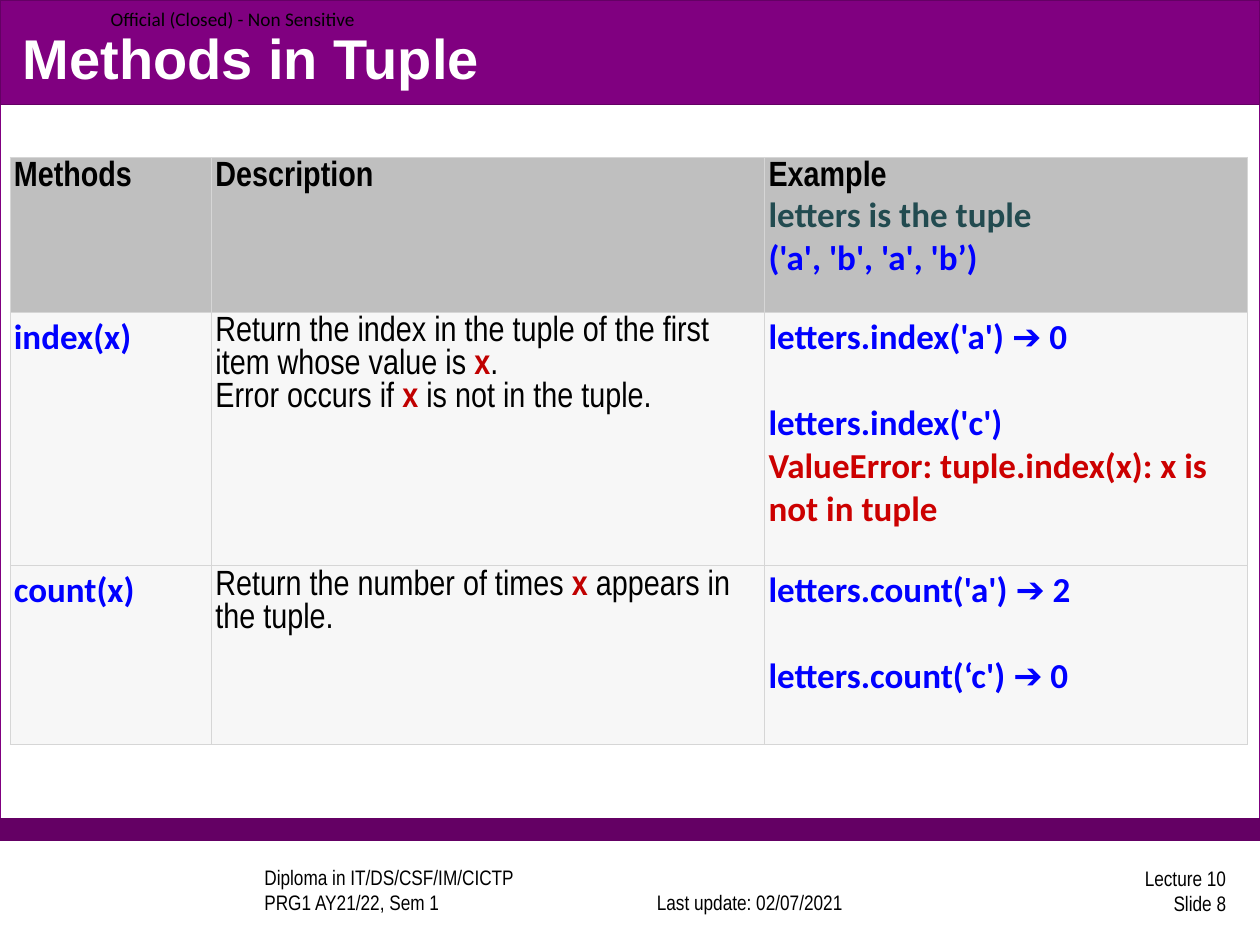
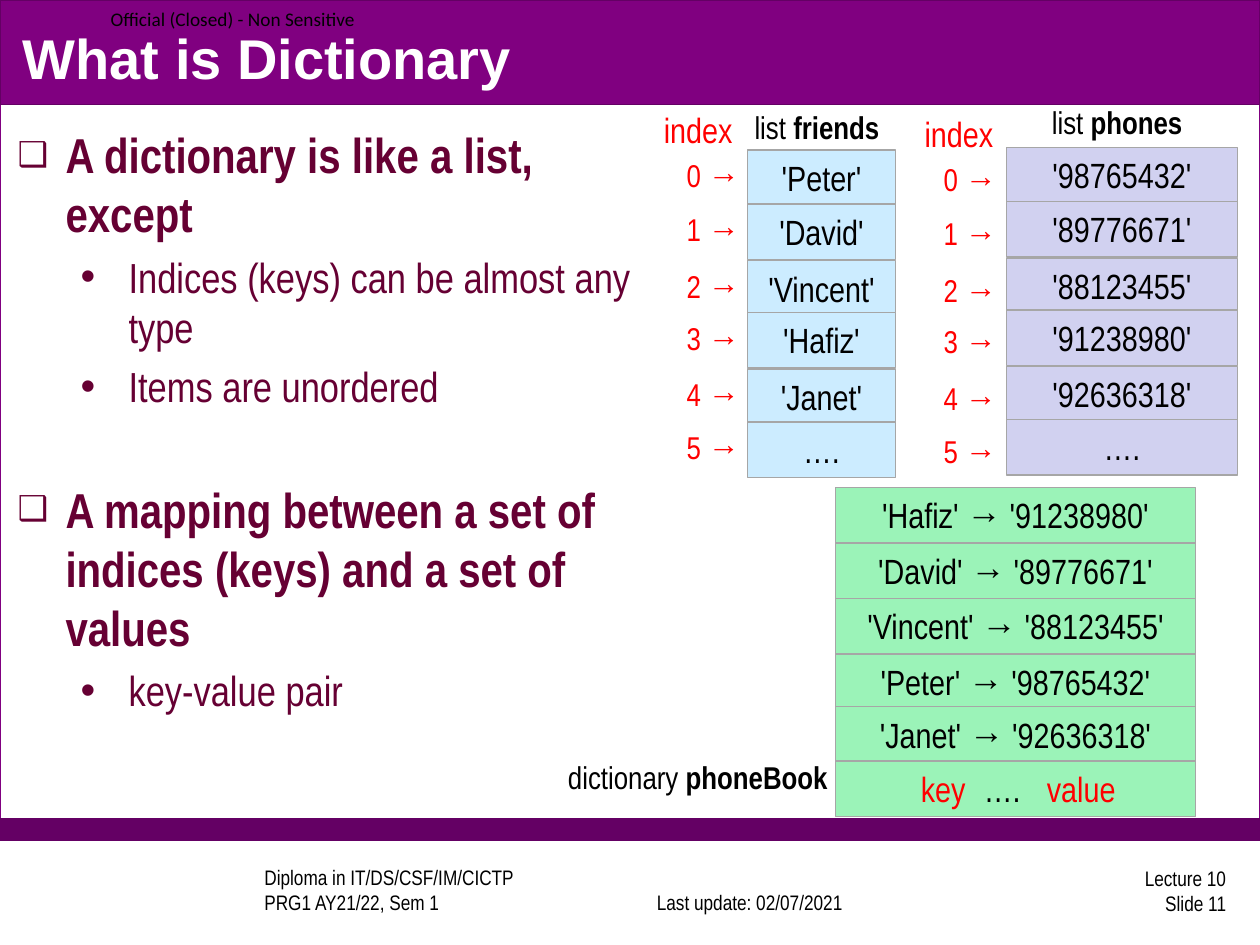
from dataclasses import dataclass

from pptx import Presentation
from pptx.dml.color import RGBColor
from pptx.enum.shapes import MSO_SHAPE
from pptx.enum.text import MSO_ANCHOR, MSO_AUTO_SIZE, PP_ALIGN
from pptx.oxml import parse_xml
from pptx.oxml.ns import nsdecls
from pptx.util import Pt

PX = 9144  # 100 px to the inch


@dataclass(frozen=True)
class Theme:
    white: str = "FFFFFF"
    black: str = "000000"
    purple: str = "800080"
    plum: str = "640064"
    wine: str = "660033"
    red: str = "FF0000"
    blue: str = "0000FF"
    teal: str = "224B50"
    crimson: str = "C00000"
    error: str = "CC0000"
    head: str = "BFBFBF"
    cell: str = "F7F7F7"
    rule: str = "D6D6D6"
    edge: str = "A6A6A6"
    sky: str = "CCECFF"
    lilac: str = "D1D1F0"
    mint: str = "9BF3B8"
    sans: str = "Arial"
    slim: str = "Arial Narrow"
    code: str = "Calibri"
    title: int = 32
    point: int = 28
    sub: int = 24
    text: int = 20
    label: int = 18
    foot: int = 12
    tag: int = 11


T = Theme()


def write(frame, lines, size=T.text, font=T.slim, color=T.black, bold=False,
          align=PP_ALIGN.LEFT, anchor=MSO_ANCHOR.TOP):
    """Each line is a list of runs; a run is text or (text, format)."""
    frame.word_wrap = True
    frame.auto_size = MSO_AUTO_SIZE.NONE
    frame.vertical_anchor = anchor
    for i, line in enumerate(lines):
        para = frame.paragraphs[0] if i == 0 else frame.add_paragraph()
        para.alignment = align
        for part in line:
            text, own = (part, {}) if isinstance(part, str) else part
            look = dict(size=size, font=font, color=color, bold=bold) | own
            run = para.add_run()
            run.text = text
            run.font.size = Pt(look["size"])
            run.font.name = look["font"]
            run.font.bold = look["bold"]
            run.font.color.rgb = RGBColor.from_string(look["color"])
    return frame


def place(slide, area, lines=(), fill=None, line=T.edge, **form):
    """Add a filled rectangle, or a text box when there is no fill."""
    spot = [n * PX for n in area]
    if fill:
        shape = slide.shapes.add_shape(MSO_SHAPE.RECTANGLE, *spot)
        shape.shadow.inherit = False
        shape.fill.solid()
        shape.fill.fore_color.rgb = RGBColor.from_string(fill)
        shape.line.color.rgb = RGBColor.from_string(line)
        shape.line.width = Pt(0.75)
    else:
        shape = slide.shapes.add_textbox(*spot)
    write(shape.text_frame, lines, **form)
    return shape


deck = Presentation()
deck.slide_width, deck.slide_height = 1000 * PX, 750 * PX
tuples = deck.slides.add_slide(deck.slide_layouts[5])
dicts = deck.slides.add_slide(deck.slide_layouts[1])

# Shared bands and footers, moved to the master
bands = [
    place(tuples, (0, 0, 1000, 667), fill=T.white, line=T.purple),
    place(tuples, (0, 650, 1000, 17), fill=T.plum, line=T.plum),
    place(tuples, (0, 0, 1000, 83), fill=T.purple, line=T.plum),
    place(tuples, (200, 689, 267, 42),
          [["Diploma in IT/DS/CSF/IM/CICTP"], ["PRG1 AY21/22, Sem 1"]],
          size=T.foot, anchor=MSO_ANCHOR.BOTTOM),
    place(tuples, (491, 689, 208, 42), [["Last update: 02/07/2021"]],
          size=T.foot, align=PP_ALIGN.CENTER, anchor=MSO_ANCHOR.BOTTOM),
    place(tuples, (78, 0, 223, 30), [["Official (Closed) - Non Sensitive"]],
          size=T.tag, font=T.code, anchor=MSO_ANCHOR.MIDDLE),
]
for i, band in enumerate(bands):
    band.element.xpath(".//p:cNvPr")[0].set("id", str(100 + i))
    deck.slide_master.shapes.element.append(band.element)

# Titles and slide numbers
for slide, name, num in ((tuples, "Methods in Tuple", 8),
                         (dicts, "What is Dictionary", 11)):
    head = slide.shapes.title
    head.left, head.top, head.width, head.height = (
        n * PX for n in (8, 14, 983, 62))
    write(head.text_frame, [[name]], size=T.title, font=T.sans, color=T.white,
          bold=True, anchor=MSO_ANCHOR.MIDDLE)
    place(slide, (775, 686, 208, 42), [["Lecture 10"], [f"Slide {num}"]],
          size=T.foot, align=PP_ALIGN.RIGHT, anchor=MSO_ANCHOR.MIDDLE)

# Table of tuple methods
key = dict(color=T.crimson, bold=True)
code = dict(font=T.code, color=T.blue, bold=True)
bold = dict(bold=True)
rows = [
    [[[("Methods", bold)]],
     [[("Description", bold)]],
     [[("Example", bold)],
      [("letters is the tuple", code | dict(color=T.teal))],
      [("('a', 'b', 'a', 'b’)", code)]]],
    [[[("index(x)", code)]],
     [["Return the index in the tuple of the first item whose value is ",
       ("x", key), "."],
      ["Error occurs if ", ("x", key), " is not in the tuple."]],
     [[("letters.index('a') ➔ 0", code)],
      [("letters.index('c')", code)],
      [("ValueError: tuple.index(x): x is not in tuple",
        code | dict(color=T.error))]]],
    [[[("count(x)", code)]],
     [["Return the number of times ", ("x ", key), "appears in the tuple."]],
     [[("letters.count('a') ➔ 2", code)],
      [("letters.count(‘c') ➔ 0", code)]]],
]
wide, tall = (160, 439, 383), (123, 201, 142)
grid = tuples.shapes.add_table(
    3, 3, 8 * PX, 125 * PX, sum(wide) * PX, sum(tall) * PX).table
grid.first_row = grid.horz_banding = False
for i in range(3):
    grid.columns[i].width = wide[i] * PX
    grid.rows[i].height = tall[i] * PX
for r, row in enumerate(rows):
    for c, lines in enumerate(row):
        cell = grid.cell(r, c)
        cell.margin_left = cell.margin_right = 3 * PX
        cell.margin_top = cell.margin_bottom = 3 * PX
        frame = write(cell.text_frame, lines)
        if r and c == 2:
            frame.paragraphs[1].space_before = Pt(24.5)
        cell.fill.solid()
        cell.fill.fore_color.rgb = RGBColor.from_string(
            T.cell if r else T.head)
        props = cell._tc.get_or_add_tcPr()
        for i, side in enumerate("LRTB"):
            props.insert(i, parse_xml(
                f'<a:ln{side} {nsdecls("a")} w="9525"><a:solidFill>'
                f'<a:srgbClr val="{T.rule}"/></a:solidFill></a:ln{side}>'))

# Bulleted list: level, space before, text
items = [
    (0, 6, "A dictionary is like a list, except"),
    (1, 5, "Indices (keys) can be almost any type"),
    (1, 5, "Items are unordered"),
    (0, 39, "A mapping between a set of indices (keys) and a set of values"),
    (1, 5, "key-value pair"),
]
body = dicts.placeholders[1]
body.left, body.top, body.width, body.height = (
    n * PX for n in (4, 94, 517, 537))
looks = (dict(size=T.point, bold=True), dict(size=T.sub))
frame = write(body.text_frame, [[(text, looks[lvl])] for lvl, _, text in items],
              color=T.wine)
for para, (lvl, gap, _) in zip(frame.paragraphs, items):
    para.level = lvl
    para.space_before = Pt(gap)
    props = para._p.get_or_add_pPr()
    props.set("marL", str((38, 88)[lvl] * PX))
    props.set("indent", str(-38 * PX))
    for mark in (f'buSzPct {nsdecls("a")} val="{(70000, 100000)[lvl]}"',
                 f'buFont {nsdecls("a")} typeface="{T.sans}"',
                 f'buChar {nsdecls("a")} char="{"❑•"[lvl]}"'):
        props.append(parse_xml(f"<a:{mark}/>"))

# Two lists with their indices
steps = (0, 43, 88, 129, 174, 216)
names = ("'Peter'", "'David'", "'Vincent'", "'Hafiz'", "'Janet'", "….")
phones = ("'98765432'", "'89776671'", "'88123455'", "'91238980'",
          "'92636318'", "….")
mid = PP_ALIGN.CENTER
for vals, left, top, width, fill, ind, first in (
        (names, 593, 119, 118, T.sky, 516, 119),
        (phones, 799, 117, 183, T.lilac, 720, 122)):
    for i, (val, step) in enumerate(zip(vals, steps)):
        place(dicts, (left, top + step, width, 44), [[val]], fill=fill,
              align=mid)
        place(dicts, (ind, first + step, 100, 40), [[f"{i} →"]],
              size=T.label, color=T.red, align=mid)

# Dictionary of key-value pairs
for i, top in zip((3, 1, 2, 0, 4), (387, 431, 475, 519, 561)):
    place(dicts, (663, top, 286, 44), [[f"{names[i]} → {phones[i]}"]],
          fill=T.mint, align=mid)
red = dict(color=T.red)
last = place(dicts, (663, 604, 286, 44),
             [[("key", red), "\t….", ("\tvalue", red)]], fill=T.mint)
props = last.text_frame.paragraphs[0]._p.get_or_add_pPr()
props.set("marL", str(58 * PX))
props.set("indent", "0")
stops = "".join(f'<a:tab pos="{n * PX}" algn="l"/>' for n in (119, 152))
props.append(parse_xml(f'<a:tabLst {nsdecls("a")}>{stops}</a:tabLst>'))

# Labels
for left, top, kind, name in ((589, 81, "list ", "friends"),
                              (825, 77, "list ", "phones"),
                              (441, 597, "dictionary ", "phoneBook")):
    place(dicts, (left, top, 250, 40), [[kind, (name, bold)]], size=T.label)
for left, top in ((517, 81), (724, 84)):
    place(dicts, (left, top, 100, 44), [["index"]], color=T.red)

deck.save("out.pptx")
